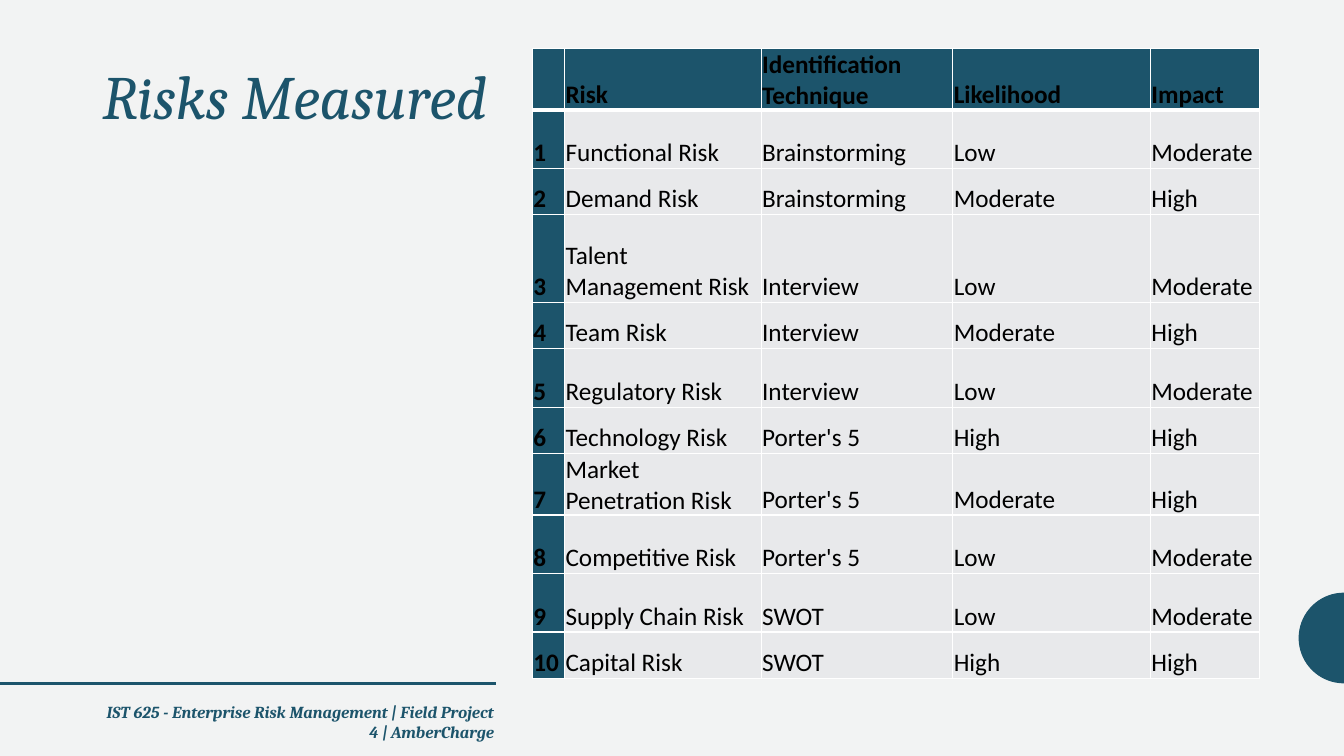
import math
from pptx import Presentation
from pptx import util as u
from pptx.dml.color import RGBColor
from pptx.enum import shapes, text
from pptx.oxml import parse_xml
from pptx.oxml.ns import nsdecls

TEAL, GRAY, BLACK, WHITE = "1C546B", "E8E9EB", "000000", "FFFFFF"


def tint(code):
    return RGBColor.from_string(code)


def style(para, face, size, code, bold=False, slant=False):
    font = para.font
    font.name, font.size = face, u.Pt(size)
    font.bold, font.italic = bold, slant
    font.color.rgb = tint(code)


deck = Presentation()
deck.slide_width, deck.slide_height = u.Inches(13.33), u.Inches(7.5)
slide = deck.slides.add_slide(deck.slide_layouts[5])
back = slide.background.fill
back.solid()
back.fore_color.rgb = tint("F2F3F3")

arc = []
for step in range(37):
    turn = math.radians(90 + step * 5)
    arc.append((u.Inches(13.33 + 0.45 * math.cos(turn)), u.Inches(6.33 + 0.45 * math.sin(turn))))
pen = slide.shapes.build_freeform(*arc[0])
pen.add_line_segments(arc[1:], close=True)
dome = pen.convert_to_shape()
dome.shadow.inherit = False
dome.fill.solid()
dome.fill.fore_color.rgb = tint(TEAL)
dome.line.fill.background()

rule = slide.shapes.add_connector(
    shapes.MSO_CONNECTOR.STRAIGHT, 0, u.Inches(6.78), u.Inches(4.92), u.Inches(6.78))
rule.line.color.rgb = tint(TEAL)
rule.line.width = u.Pt(2)
rule._element.spPr.append(parse_xml(f"<a:effectLst {nsdecls('a')}/>"))

title = slide.shapes.title
title.left, title.top = u.Inches(0.83), u.Inches(0.61)
title.width, title.height = u.Inches(4.19), u.Inches(5.42)
frame = title.text_frame
frame.text = "Risks Measured"
frame.word_wrap = True
frame.auto_size = text.MSO_AUTO_SIZE.NONE
frame.vertical_anchor = text.MSO_ANCHOR.TOP
head = frame.paragraphs[0]
head.alignment = text.PP_ALIGN.CENTER
head.line_spacing = 0.9
style(head, "Cambria", 44, TEAL, slant=True)

foot = slide.shapes.add_textbox(u.Inches(0.83), u.Inches(6.91), u.Inches(4.17), u.Inches(0.4))
foot.text_frame.word_wrap = True
foot.text_frame.text = "IST 625 - Enterprise Risk Management | Field Project 4 | AmberCharge"
note = foot.text_frame.paragraphs[0]
note.alignment = text.PP_ALIGN.RIGHT
style(note, "Cambria", 12, TEAL, bold=True, slant=True)

risks = [
    ("Functional Risk", "Brainstorming", "Low", "Moderate"),
    ("Demand Risk", "Brainstorming", "Moderate", "High"),
    ("Talent Management Risk", "Interview", "Low", "Moderate"),
    ("Team Risk", "Interview", "Moderate", "High"),
    ("Regulatory Risk", "Interview", "Low", "Moderate"),
    ("Technology Risk", "Porter's 5", "High", "High"),
    ("Market Penetration Risk", "Porter's 5", "Moderate", "High"),
    ("Competitive Risk", "Porter's 5", "Low", "Moderate"),
    ("Supply Chain Risk", "SWOT", "Low", "Moderate"),
    ("Capital Risk", "SWOT", "High", "High"),
]
rows = [("", "Risk", "Identification Technique", "Likelihood", "Impact")]
rows += [(str(num), *risk) for num, risk in enumerate(risks, 1)]
wide = [0.32, 1.95, 1.9, 1.96, 1.08]
high = [0.58, 0.58, 0.46, 0.87, 0.46, 0.58, 0.46, 0.58, 0.58, 0.58, 0.46]

grid = slide.shapes.add_table(
    len(rows), len(wide), u.Inches(5.28), u.Inches(0.48), u.Inches(7.21), u.Inches(6.22)).table
grid.first_row = grid.horz_banding = False
for col, width in zip(grid.columns, wide):
    col.width = u.Inches(width)
for r, words in enumerate(rows):
    grid.rows[r].height = u.Inches(high[r])
    for c, word in enumerate(words):
        cell = grid.cell(r, c)
        cell.text = word
        cell.vertical_anchor = text.MSO_ANCHOR.BOTTOM
        cell.margin_left = cell.margin_right = cell.margin_top = u.Inches(0.01)
        cell.margin_bottom = 0
        key = r == 0 or c == 0
        style(cell.text_frame.paragraphs[0], "Calibri", 18, BLACK, bold=key)
        for side in "LRTB":
            thick = 3 if (r, side) in ((0, "B"), (1, "T")) else 1
            cell._tc.get_or_add_tcPr().append(parse_xml(
                f'<a:ln{side} {nsdecls("a")} w="{u.Pt(thick)}"><a:solidFill>'
                f'<a:srgbClr val="{WHITE}"/></a:solidFill></a:ln{side}>'))
        cell.fill.solid()
        cell.fill.fore_color.rgb = tint(TEAL if key else GRAY)

deck.save("out.pptx")
